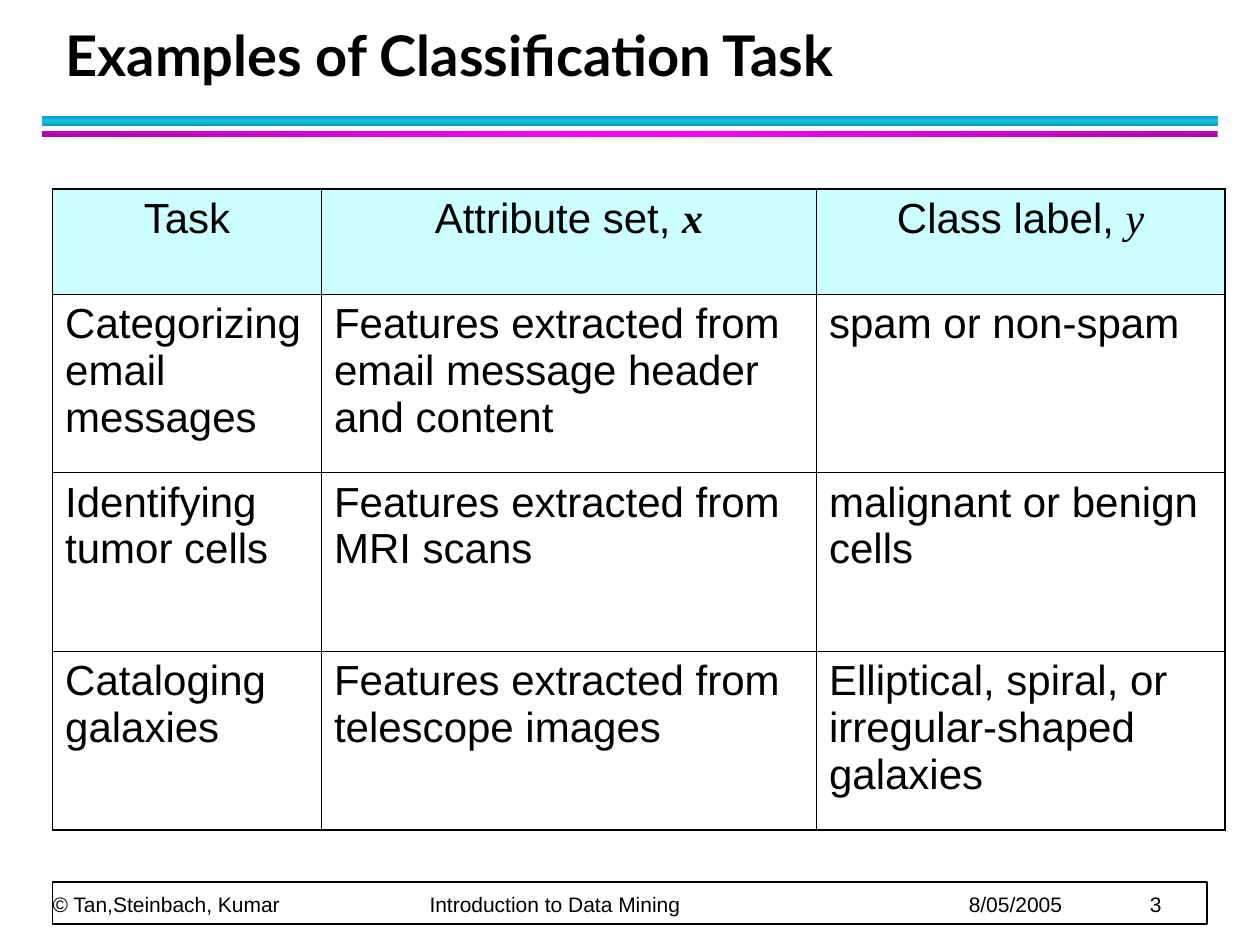
from collections import namedtuple
from copy import deepcopy
from dataclasses import dataclass

from lxml import etree
from pptx import Presentation
from pptx import util as u
from pptx.dml.color import RGBColor
from pptx.enum import shapes, text
from pptx.oxml import ns

Box = namedtuple("Box", "left top width height")


@dataclass(frozen=True)
class Theme:
    ink: str = "000000"
    paper: str = "FFFFFF"
    header: str = "CCFFFF"
    cyan: tuple = ("0E9AB9", "12C2E9", "0E9AB9")
    magenta: tuple = ("B100B1", "FF00FF", "B100B1")
    body_font: str = "Arial"
    title_font: str = "Lato"
    symbol_font: str = "Times New Roman"
    title_size: int = 32
    table_size: int = 24
    footer_size: int = 12
    outer_line: float = 1.08
    inner_line: float = 0.45


THEME = Theme()
HEADINGS = [("Task", "", False), ("Attribute set, ", "x", True), ("Class label, ", "y", False)]
TASKS = [
    ("Categorizing email messages",
     "Features extracted from email message header and content",
     "spam or non-spam"),
    ("Identifying tumor cells", "Features extracted from MRI scans",
     "malignant or benign cells"),
    ("Cataloging galaxies", "Features extracted from telescope images",
     "Elliptical, spiral, or irregular-shaped galaxies"),
]
COLUMN_WIDTHS = (5.42, 9.98, 8.23)
HEADER_HEIGHT, TASK_HEIGHT = 2.12, 3.6
FOOTER = ("© Tan,Steinbach, Kumar", "Introduction to Data Mining", "8/05/2005", "3")
FOOTER_TABS = (7.6, 18.47, 22.12)


def cm(box):
    return [u.Cm(length) for length in box]


def rgb(colour):
    return RGBColor.from_string(colour)


def apply(target, **values):
    for name, value in values.items():
        setattr(target, name, value)


def add_run(paragraph, words, size, font=THEME.body_font, **style):
    run = paragraph.add_run()
    run.text = words
    apply(run.font, name=font, size=u.Pt(size), **style)
    run.font.color.rgb = rgb(THEME.ink)


def add_rectangle(slide, box):
    rectangle = slide.shapes.add_shape(shapes.MSO_SHAPE.RECTANGLE, *cm(box))
    rectangle.shadow.inherit = False
    return rectangle


def add_rule(slide, box, colours, angle):
    """Draw a borderless bar with a three-stop gradient."""
    rule = add_rectangle(slide, box)
    rule.line.fill.background()
    rule.fill.gradient()
    stop_list = rule.fill._fill._gradFill.find(ns.qn("a:gsLst"))
    stop_list.append(deepcopy(stop_list[-1]))
    for stop, colour, position in zip(rule.fill.gradient_stops, colours, (0, 0.5, 1)):
        stop.color.rgb = rgb(colour)
        stop.position = position
    rule.fill.gradient_angle = angle


def add_rules(slide, box):
    add_rule(slide, box._replace(height=0.21), THEME.cyan, 90)
    add_rule(slide, box._replace(top=box.top + 0.32, height=0.11), THEME.magenta, 180)


def add_title(slide, box):
    title = slide.shapes.title
    apply(title, **dict(zip(Box._fields, cm(box))))
    apply(title.text_frame, auto_size=text.MSO_AUTO_SIZE.NONE, word_wrap=True,
          vertical_anchor=text.MSO_ANCHOR.BOTTOM)
    heading = title.text_frame.paragraphs[0]
    apply(heading, alignment=text.PP_ALIGN.LEFT, line_spacing=u.Pt(36))
    add_run(heading, "Examples of Classification Task", THEME.title_size,
            THEME.title_font, bold=True)


def set_borders(cell, outer_sides):
    properties = cell._tc.get_or_add_tcPr()
    for side in "LRTB":
        width = THEME.outer_line if side in outer_sides else THEME.inner_line
        line = etree.SubElement(properties, ns.qn(f"a:ln{side}"), w=str(u.Pt(width)))
        fill = etree.SubElement(line, ns.qn("a:solidFill"))
        etree.SubElement(fill, ns.qn("a:srgbClr"), val=THEME.ink)


def add_task_table(slide, box):
    row_count, column_count = len(TASKS) + 1, len(HEADINGS)
    table = slide.shapes.add_table(row_count, column_count, *cm(box)).table
    apply(table, first_row=False, horz_banding=False)
    for column, width in zip(table.columns, COLUMN_WIDTHS):
        column.width = u.Cm(width)
    for index, row in enumerate(table.rows):
        row.height = u.Cm(TASK_HEIGHT if index else HEADER_HEIGHT)
        for column, cell in enumerate(row.cells):
            edges = {"L": column == 0, "R": column == column_count - 1,
                     "T": index == 0, "B": index == row_count - 1}
            set_borders(cell, [side for side, outer in edges.items() if outer])
            paragraph = cell.text_frame.paragraphs[0]
            if index:
                cell.fill.background()
                add_run(paragraph, TASKS[index - 1][column], THEME.table_size)
                continue
            cell.fill.solid()
            cell.fill.fore_color.rgb = rgb(THEME.header)
            paragraph.alignment = text.PP_ALIGN.CENTER
            label, symbol, bold = HEADINGS[column]
            add_run(paragraph, label, THEME.table_size)
            if symbol:
                add_run(paragraph, symbol, THEME.table_size, THEME.symbol_font,
                        bold=bold, italic=True)


def add_footer(slide, box):
    frame = add_rectangle(slide, box)
    frame.fill.solid()
    frame.fill.fore_color.rgb = rgb(THEME.paper)
    frame.line.color.rgb = rgb(THEME.ink)
    frame.line.width = u.Pt(1)

    caption_box = box._replace(top=box.top - 0.71, height=1.42)
    caption = slide.shapes.add_textbox(*cm(caption_box)).text_frame
    apply(caption, word_wrap=True, vertical_anchor=text.MSO_ANCHOR.BOTTOM,
          margin_left=0, margin_right=0, margin_top=0, margin_bottom=0)
    paragraph = caption.paragraphs[0]
    tabs = etree.SubElement(paragraph._p.get_or_add_pPr(), ns.qn("a:tabLst"))
    for position in FOOTER_TABS:
        etree.SubElement(tabs, ns.qn("a:tab"), pos=str(u.Cm(position)), algn="l")
    paragraph.line_spacing = u.Pt(20)
    add_run(paragraph, "\t".join(FOOTER), THEME.footer_size)


def main():
    deck = Presentation()
    apply(deck, slide_width=u.Cm(25.4), slide_height=u.Cm(19.05))
    slide = deck.slides.add_slide(deck.slide_layouts.get_by_name("Title Only"))
    add_rules(slide, Box(0.85, 2.33, 23.7, 0.43))
    add_footer(slide, Box(1.06, 17.78, 23.28, 0.85))
    add_title(slide, Box(1.06, 0.42, 23.02, 1.48))
    add_task_table(slide, Box(1.06, 3.81, sum(COLUMN_WIDTHS),
                              HEADER_HEIGHT + TASK_HEIGHT * len(TASKS)))
    deck.save("out.pptx")


if __name__ == "__main__":
    main()
